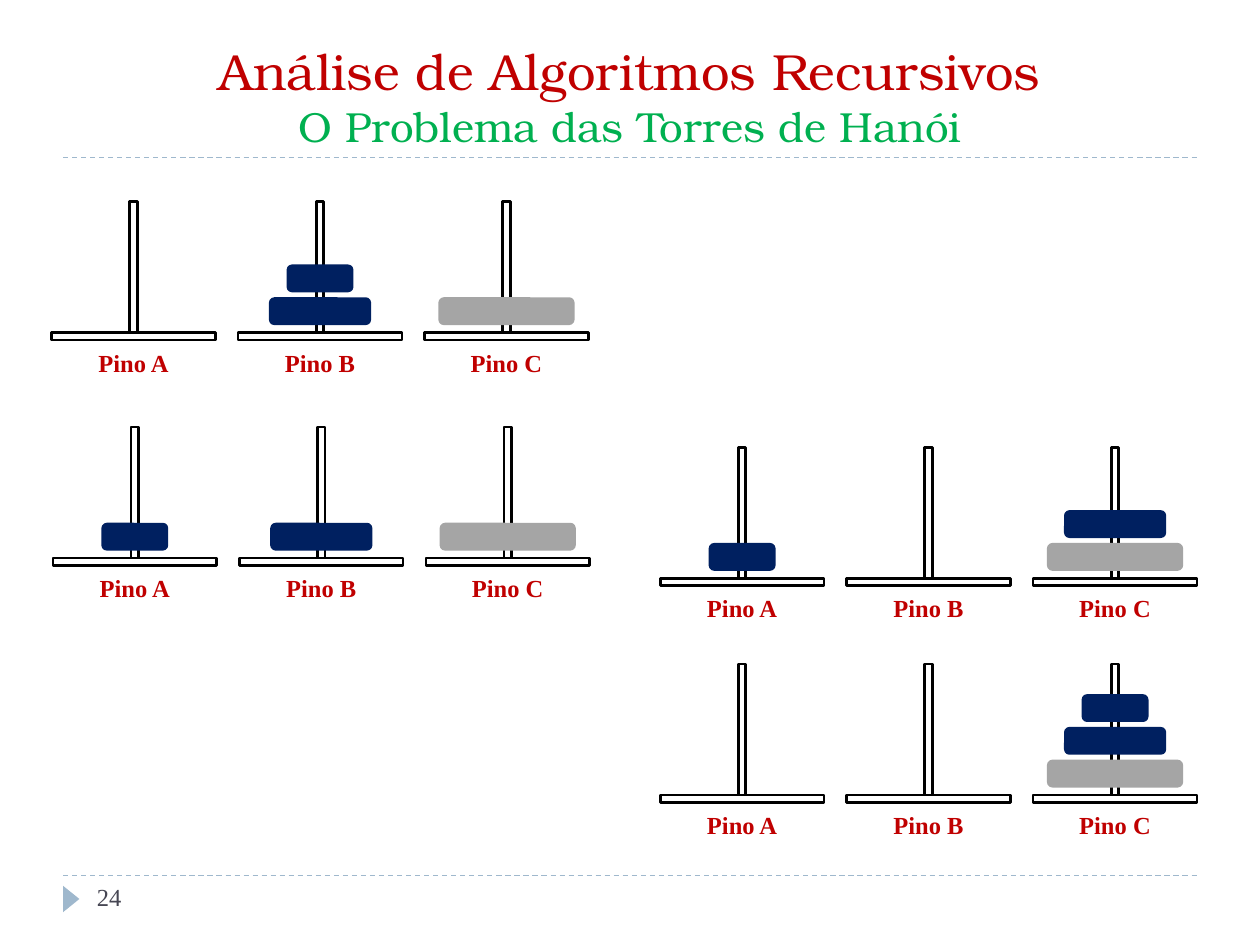
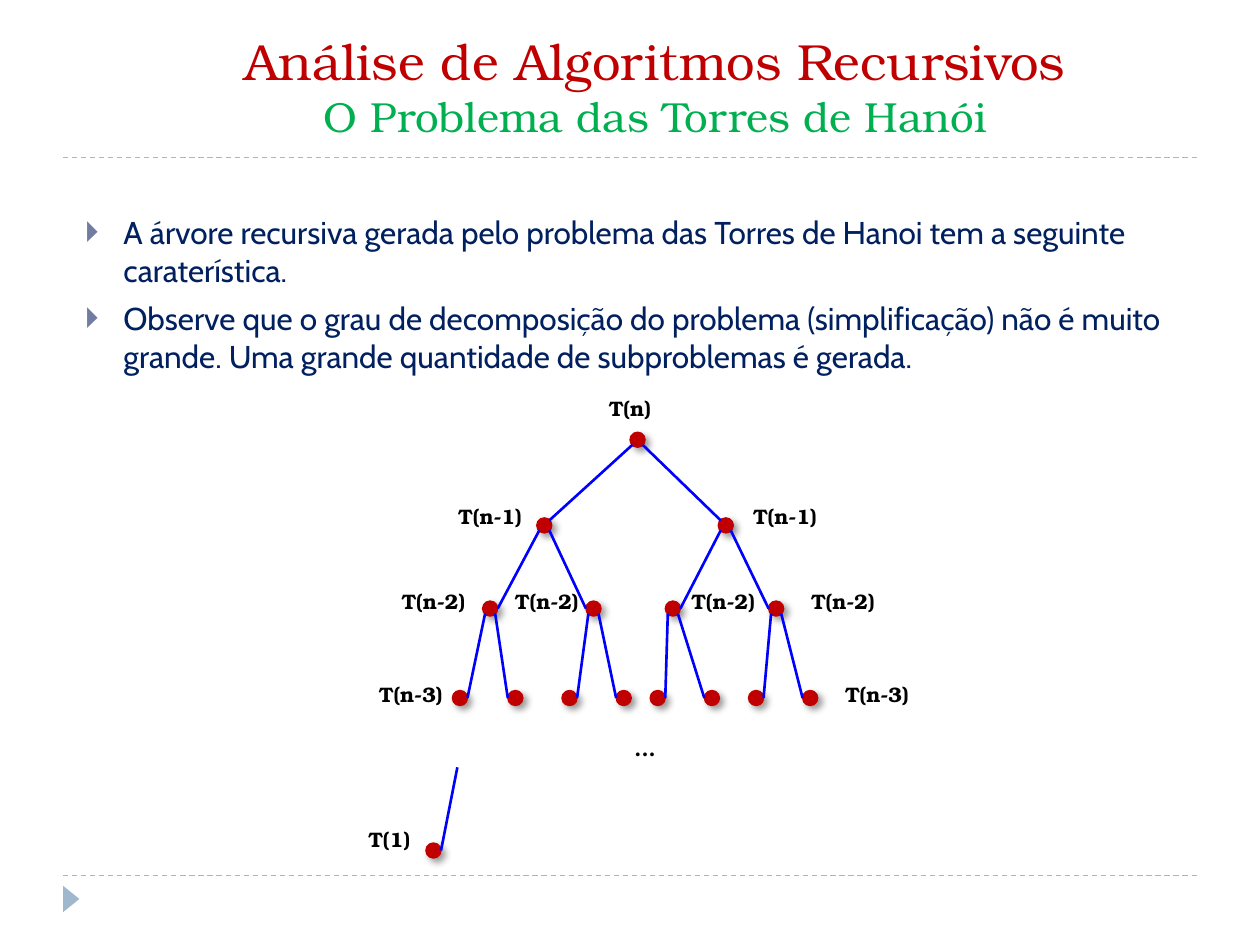
import lxml.etree
import pptx
import pptx.dml.color
import pptx.enum.dml
import pptx.enum.shapes
import pptx.enum.text
import pptx.oxml.ns
import pptx.util

RED = "C00000"
GREEN = "00B050"
NAVY = "002060"
GRAY = "A5A5A5"
STEEL = "9FB8CD"
SERIF = "TeX Gyre Bonum"
TIMES = "Times New Roman"
KIND = pptx.enum.shapes.MSO_SHAPE
LINK = pptx.enum.shapes.MSO_CONNECTOR.STRAIGHT
ALIGN = pptx.enum.text.PP_ALIGN
ANCHOR = pptx.enum.text.MSO_ANCHOR
qn = pptx.oxml.ns.qn


def paint(item, fill=None, line=None, width=1.5):
    if fill:
        item.shadow.inherit = False
        item.fill.solid()
        item.fill.fore_color.rgb = pptx.dml.color.RGBColor.from_string(fill)
    else:
        lxml.etree.SubElement(item._element.spPr, qn("a:effectLst"))
    if line:
        item.line.color.rgb = pptx.dml.color.RGBColor.from_string(line)
        item.line.width = pptx.util.Pt(width)
    else:
        item.line.fill.background()


def write(frame, text, font=SERIF, size=12, color="000000", bold=False,
          align=ALIGN.CENTER, anchor=ANCHOR.TOP):
    frame.word_wrap = True
    frame.auto_size = pptx.enum.text.MSO_AUTO_SIZE.NONE
    frame.vertical_anchor = anchor
    para = frame.paragraphs[-1]
    para.alignment = align
    run = para.add_run()
    run.text = text
    run.font.name = font
    run.font.size = pptx.util.Pt(size)
    run.font.bold = bold
    run.font.color.rgb = pptx.dml.color.RGBColor.from_string(color)


deck = pptx.Presentation()
deck.slide_width = pptx.util.Inches(10)
deck.slide_height = pptx.util.Inches(7.5)
pegs = deck.slides.add_slide(deck.slide_layouts[5])
tree = deck.slides.add_slide(deck.slide_layouts[1])

for slide, left, top, high in [(pegs, 0.5, 0.25, 1), (tree, 0.7, 0, 1.17)]:
    for y in (6.95, 1.25):
        rule = slide.shapes.add_connector(LINK, *map(pptx.util.Inches, (0.5, y, 9.5, y)))
        paint(rule, line=STEEL, width=0.75)
        rule.line.dash_style = pptx.enum.dml.MSO_LINE.DASH
    mark = slide.shapes.add_shape(
        KIND.ISOSCELES_TRIANGLE, *map(pptx.util.Inches, (0.46, 7.07, 0.21, 0.13)))
    mark.rotation = 90
    paint(mark, fill=STEEL)
    title = slide.shapes.title
    title.left, title.top, title.width, title.height = map(
        pptx.util.Inches, (left, top, 9, high))
    frame = title.text_frame
    write(frame, "Análise de Algoritmos Recursivos", size=29, color=RED, anchor=ANCHOR.BOTTOM)
    frame.paragraphs[0].add_line_break()
    write(frame, "O Problema das Torres de Hanói", size=24, color=GREEN, anchor=ANCHOR.BOTTOM)

page = pegs.shapes.add_textbox(*map(pptx.util.Inches, (0.67, 6.95, 2.17, 0.4)))
write(page.text_frame, "24", font=TIMES, size=14, color="464653", align=ALIGN.LEFT)

disks = {"L": (1.06, GRAY), "M": (0.79, NAVY), "S": (0.51, NAVY)}
states = [
    (0.41, 2.64, ("", "MS", "L")),
    (0.42, 4.43, ("S", "M", "L")),
    (5.24, 4.59, ("S", "", "LM")),
    (5.24, 6.31, ("", "", "LMS")),
]
for left, base, stacks in states:
    for col, (name, stack) in enumerate(zip("ABC", stacks)):
        x = left + 1.48 * col
        mid = x + 0.65
        for box in [(mid - 0.03, base - 1.04, 0.06, 1.1), (x, base, 1.3, 0.06)]:
            bar = pegs.shapes.add_shape(KIND.RECTANGLE, *map(pptx.util.Inches, box))
            paint(bar, fill="FFFFFF", line="000000")
        label = pegs.shapes.add_textbox(
            *map(pptx.util.Inches, (mid - 0.49, base + 0.07, 0.98, 0.34)))
        write(label.text_frame, f"Pino {name}", font=TIMES, size=14, color=RED, bold=True)
        for level, key in enumerate(stack):
            wide, color = disks[key]
            box = (mid - wide / 2, base - 0.27 - 0.26 * level, wide, 0.2)
            disk = pegs.shapes.add_shape(KIND.ROUNDED_RECTANGLE, *map(pptx.util.Inches, box))
            paint(disk, fill=color, line=color)

body = tree.placeholders[1]
body.left, body.top, body.width, body.height = map(pptx.util.Inches, (0.58, 1.64, 9, 1.36))
points = [
    "A árvore recursiva gerada pelo problema das Torres de Hanoi tem a seguinte caraterística.",
    "Observe que o grau de decomposição do problema (simplificação) não é muito grande. "
    "Uma grande quantidade de subproblemas é gerada.",
]
for i, point in enumerate(points):
    if i:
        body.text_frame.add_paragraph()
    write(body.text_frame, point, font="Cabin", size=18, color=NAVY, align=ALIGN.LEFT)
    para = body.text_frame.paragraphs[-1]
    para.space_before = pptx.util.Pt(6 * i)
    props = para._p.get_or_add_pPr()
    props.set("marL", str(pptx.util.Inches(0.3)))
    props.set("indent", str(pptx.util.Inches(-0.3)))
    tint = lxml.etree.SubElement(props, qn("a:buClr"))
    lxml.etree.SubElement(tint, qn("a:srgbClr"), val="727CA3")
    lxml.etree.SubElement(props, qn("a:buChar"), char="🞂")

rows = [
    (3.49, [5.06]),
    (4.17, [4.32, 5.76]),
    (4.83, [3.89, 4.71, 5.34, 6.16]),
    (5.54, [3.65, 4.09, 4.52, 4.95, 5.22, 5.65, 6.0, 6.43]),
]
dots = [(x, y) for y, row in rows for x in row] + [(3.44, 6.75)]
edges = [(3.63, 6.09, 3.5, 6.75)]
for depth in range(1, len(rows)):
    high, above = rows[depth - 1]
    low, row = rows[depth]
    for i, x in enumerate(row):
        side = 1 if i % 2 else -1
        dx, dy = (0.04, 0.04) if depth == 1 else (0.06, 0)
        edges.append((above[i // 2] + 0.04 * side, high + 0.04, x - dx * side, low - dy))

for x, y in dots:
    dot = tree.shapes.add_shape(
        KIND.OVAL, *map(pptx.util.Inches, (x - 0.06, y - 0.06, 0.12, 0.12)))
    paint(dot, fill=RED, line=RED, width=0.75)
    glow = lxml.etree.SubElement(
        dot._element.spPr.find(qn("a:effectLst")), qn("a:outerShdw"),
        blurRad=str(pptx.util.Pt(4)), dist=str(pptx.util.Pt(3)), dir="2700000",
        algn="tl", rotWithShape="0")
    tint = lxml.etree.SubElement(glow, qn("a:srgbClr"), val="000000")
    lxml.etree.SubElement(tint, qn("a:alpha"), val="40000")

for edge in edges:
    paint(tree.shapes.add_connector(LINK, *map(pptx.util.Inches, edge)), line="0000FF")

labels = [
    ("T(n)", 3.09, [5.0]),
    ("T(n-1)", 3.95, [3.89, 6.23]),
    ("T(n-2)", 4.62, [3.44, 4.34, 5.74, 6.69]),
    ("T(n-3)", 5.36, [3.26, 6.96]),
    ("...", 5.79, [5.12]),
    ("T(1)", 6.51, [3.09]),
]
for text, top, mids in labels:
    for mid in mids:
        box = tree.shapes.add_textbox(*map(pptx.util.Inches, (mid - 0.39, top, 0.78, 0.3)))
        write(box.text_frame, text, bold=True, anchor=ANCHOR.MIDDLE)

deck.save("out.pptx")
